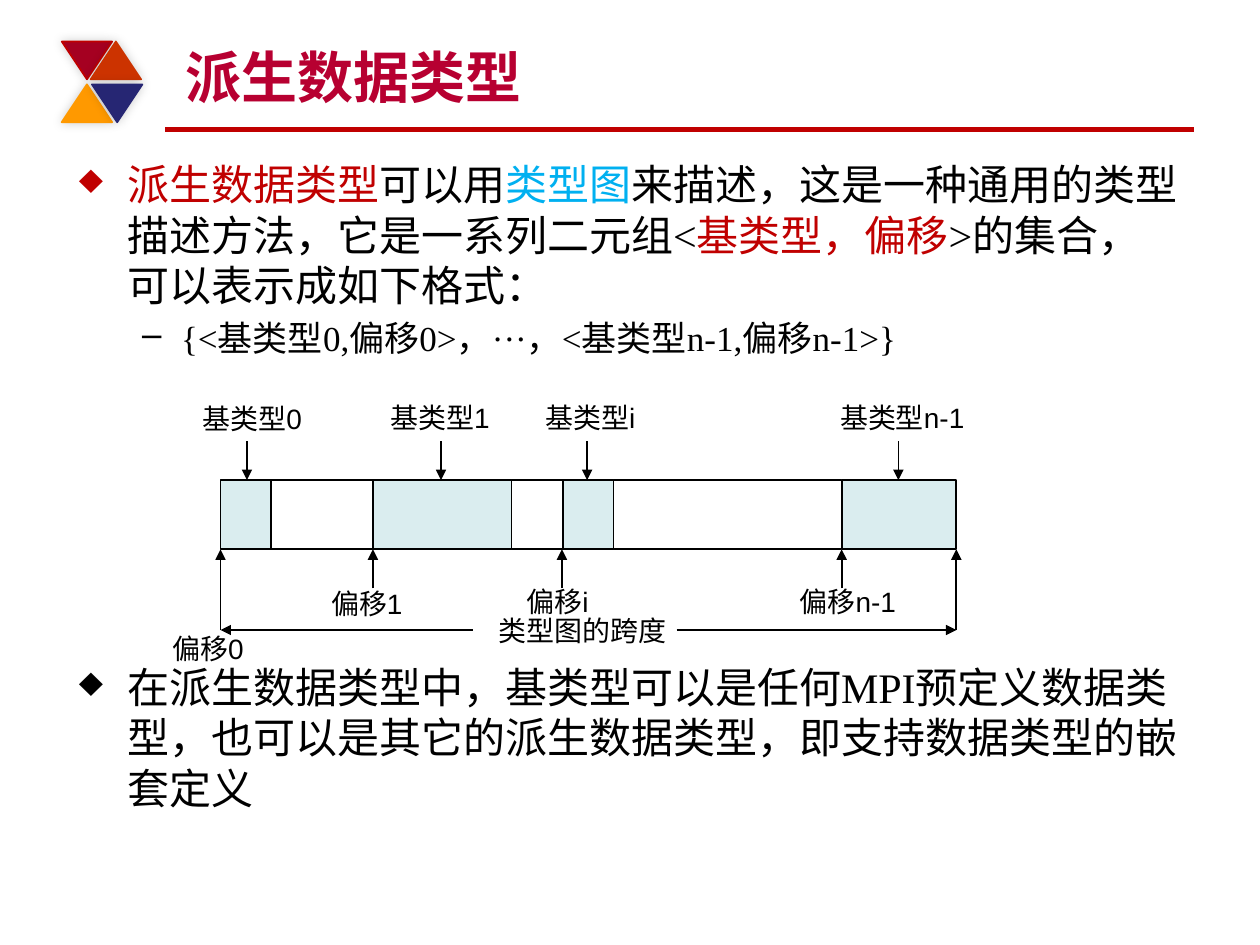
from itertools import pairwise

from lxml.etree import SubElement
from pptx import Presentation
from pptx.dml.color import RGBColor
from pptx.enum.shapes import MSO_CONNECTOR as Link, MSO_SHAPE as Shape
from pptx.enum.text import MSO_ANCHOR as Anchor, PP_ALIGN as Align
from pptx.oxml import parse_xml
from pptx.oxml.ns import nsdecls, qn
from pptx.util import Inches, Pt

COLORS = {
    "black": "000000", "red": "C00000", "blue": "00B0F0", "title": "B70031",
    "cell": "DAEDEF", "wine": "A50021", "rust": "CC3300", "gold": "FF9900",
    "navy": "262673",
}
SERIF, SANS = "Times New Roman", "Arial"
EDGES = [1.75, 2.15, 2.96, 4.06, 4.47, 4.87, 6.68, 7.59]
TOP, BASE, SPAN = 3.81, 4.36, 5
LABELS = [
    ("基类型0", 1.51, 3.14), ("基类型1", 3, 3.13),
    ("基类型i", 4.23, 3.13), ("基类型n-1", 6.57, 3.13),
    ("偏移0", 1.27, 4.96), ("偏移1", 2.53, 4.61),
    ("偏移i", 4.08, 4.59), ("偏移n-1", 6.25, 4.59),
    ("类型图的跨度", 3.86, 4.82),
]
MARKS = [
    (0.49, 0.33, 180, "wine", "red"), (0.72, 0.33, 0, "rust", "rust"),
    (0.49, 0.67, 0, "gold", "gold"), (0.73, 0.67, 180, "navy", "navy"),
]
INTRO = [
    ("派生数据类型", "red"), ("可以用", "black"), ("类型图", "blue"),
    ("来描述，这是一种通用的类型描述方法，它是一系列二元组<", "black"),
    ("基类型，偏移", "red"), (">的集合，可以表示成如下格式：", "black"),
]
FORMAT = [("{<基类型0,偏移0>，···，<基类型n-1,偏移n-1>}", "black")]
NESTING = [(
    "在派生数据类型中，基类型可以是任何MPI预定义数据类型，"
    "也可以是其它的派生数据类型，即支持数据类型的嵌套定义", "black")]


def rgb(color):
    return RGBColor.from_string(COLORS[color])


def add_run(para, text, color, **style):
    run = para.add_run()
    run.text = text
    run.font.color.rgb = rgb(color)
    for key, value in style.items():
        setattr(run.font, key, value)


def add_box(slide, x, y, w, h):
    frame = slide.shapes.add_textbox(*map(Inches, (x, y, w, h))).text_frame
    frame.word_wrap = True
    return frame


def add_item(para, runs, size, mark, left, hang):
    """Fill a bulleted paragraph with coloured runs."""
    props = para._p.get_or_add_pPr()
    props.set("marL", str(Inches(left)))
    props.set("indent", str(-Inches(hang)))
    SubElement(props, qn("a:buChar"), char=mark)
    for text, color in runs:
        add_run(para, text, color, size=Pt(size), name=SERIF)


def add_line(slide, start, end, color="black", width=1, arrow=True):
    ends = map(Inches, (*start, *end))
    link = slide.shapes.add_connector(Link.STRAIGHT, *ends)
    link.line.color.rgb = rgb(color)
    link.line.width = Pt(width)
    if arrow:
        SubElement(link.line._get_or_add_ln(), qn("a:tailEnd"), type="triangle")
    SubElement(link._element.spPr, qn("a:effectLst"))


def add_shape(slide, kind, x, y, w, h, fill, line):
    shape = slide.shapes.add_shape(kind, *map(Inches, (x, y, w, h)))
    shape.shadow.inherit = False
    if fill:
        shape.fill.solid()
        shape.fill.fore_color.rgb = rgb(fill)
    else:
        shape.fill.background()
    shape.line.color.rgb = rgb(line)
    shape.line.width = Pt(1)
    return shape


def add_marks(slide):
    """Draw the four triangles beside the title."""
    for x, y, turn, fill, line in MARKS:
        mark = add_shape(slide, Shape.ISOSCELES_TRIANGLE, x, y, 0.4, 0.3, fill, line)
        mark.rotation = turn
        mark._element.spPr.find(qn("a:effectLst")).append(parse_xml(
            f'<a:outerShdw {nsdecls("a")} blurRad="{Pt(6)}" dist="0" dir="18900000">'
            '<a:srgbClr val="000000"><a:alpha val="20000"/></a:srgbClr>'
            '</a:outerShdw>'))


def add_title(slide, text):
    title = slide.shapes.title
    place = {"left": 1.37, "top": 0.25, "width": 8, "height": 0.67}
    for key, value in place.items():
        setattr(title, key, Inches(value))
    frame = title.text_frame
    frame.vertical_anchor = Anchor.BOTTOM
    para = frame.paragraphs[0]
    para.alignment = Align.LEFT
    add_run(para, text, "title", size=Pt(32), name=SANS, bold=True)


def add_body(slide):
    frame = add_box(slide, 0.53, 1.21, 8.95, 1.8)
    add_item(frame.paragraphs[0], INTRO, 24, "♦", 0.38, 0.38)
    para = frame.add_paragraph()
    para.space_before = Pt(4)
    add_item(para, FORMAT, 20, "–", 0.81, 0.31)
    frame = add_box(slide, 0.53, 5.2, 8.95, 1.63)
    add_item(frame.paragraphs[0], NESTING, 24, "♦", 0.38, 0.38)


def add_map(slide):
    """Draw the type map: cells, arrows and labels."""
    for i, (left, right) in enumerate(pairwise(EDGES)):
        fill = None if i % 2 else "cell"
        add_shape(slide, Shape.RECTANGLE, left, TOP, right - left, BASE - TOP,
                  fill, "black")
    for x in (1.96, 3.5, 4.66, 7.13):
        add_line(slide, (x, 3.5), (x, TOP))
    for x in (2.96, 4.46, 6.68):
        add_line(slide, (x, 4.67), (x, BASE))
    for x, inner in ((EDGES[0], 3.75), (EDGES[-1], 5.37)):
        add_line(slide, (x, SPAN), (x, BASE))
        add_line(slide, (inner, SPAN), (x, SPAN))
    for text, x, y in LABELS:
        frame = add_box(slide, x, y, 1.6, 0.37)
        add_run(frame.paragraphs[0], text, "black", size=Pt(16), name=SANS)


def main():
    deck = Presentation()
    deck.slide_width, deck.slide_height = Inches(10), Inches(7.5)
    slide = deck.slides.add_slide(deck.slide_layouts[5])
    add_line(slide, (1.31, 1.03), (9.48, 1.03), "red", 3, arrow=False)
    add_marks(slide)
    add_title(slide, "派生数据类型")
    add_body(slide)
    add_map(slide)
    deck.save("out.pptx")


if __name__ == "__main__":
    main()
